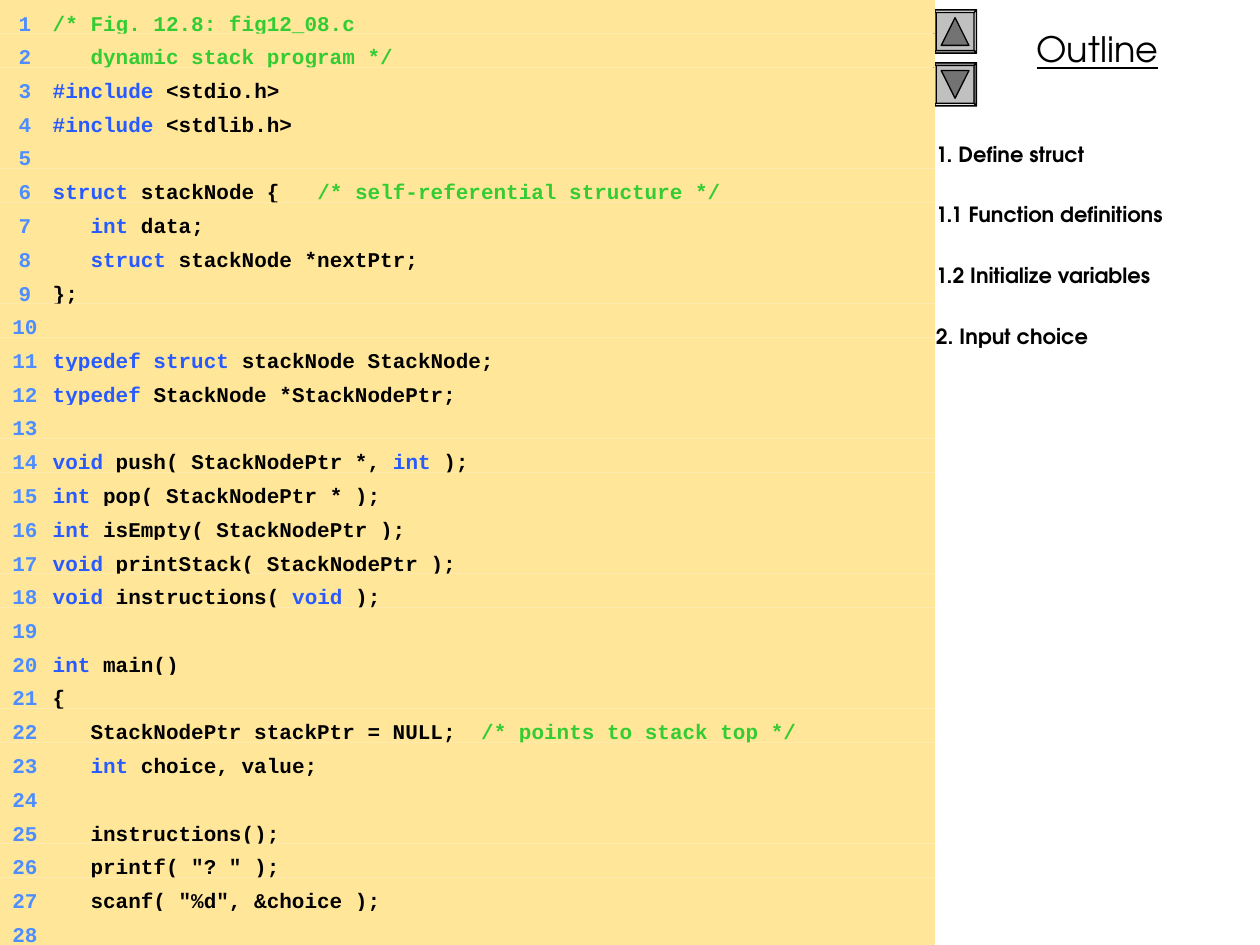
from lxml.etree import SubElement
from pptx import Presentation
from pptx.dml.color import RGBColor
from pptx.enum.shapes import MSO_SHAPE
from pptx.enum.text import MSO_ANCHOR, PP_ALIGN
from pptx.oxml.ns import qn
from pptx.util import Inches, Pt

KEY, TEXT, NOTE, NUM = "275AFF", "000000", "33CC33", "4D8DFF"

CODE = [
    [(NOTE, "/* Fig. 12.8: fig12_08.c")],
    [(NOTE, "   dynamic stack program */")],
    [(KEY, "#include"), (TEXT, " <stdio.h>")],
    [(KEY, "#include"), (TEXT, " <stdlib.h>")],
    [],
    [(KEY, "struct"), (TEXT, " stackNode { "),
     (NOTE, "  /* self-referential structure */")],
    [(KEY, "   int"), (TEXT, " data;")],
    [(KEY, "   struct"), (TEXT, " stackNode *nextPtr;")],
    [(TEXT, "};")],
    [],
    [(KEY, "typedef struct"), (TEXT, " stackNode StackNode;")],
    [(KEY, "typedef"), (TEXT, " StackNode *StackNodePtr;")],
    [],
    [(KEY, "void"), (TEXT, " push( StackNodePtr *, "), (KEY, "int"), (TEXT, " );")],
    [(KEY, "int"), (TEXT, " pop( StackNodePtr * );")],
    [(KEY, "int"), (TEXT, " isEmpty( StackNodePtr );")],
    [(KEY, "void"), (TEXT, " printStack( StackNodePtr );")],
    [(KEY, "void"), (TEXT, " instructions( "), (KEY, "void"), (TEXT, " );")],
    [],
    [(KEY, "int"), (TEXT, " main()")],
    [(TEXT, "{")],
    [(TEXT, "   StackNodePtr stackPtr = NULL; "), (NOTE, " /* points to stack top */")],
    [(KEY, "   int"), (TEXT, " choice, value;")],
    [],
    [(TEXT, "   instructions();")],
    [(TEXT, '   printf( "? " );')],
    [(TEXT, '   scanf( "%d", &choice );')],
    [],
]
TOPICS = ["1. Define struct", "1.1 Function definitions",
          "1.2 Initialize variables", "2. Input choice"]


def color(code):
    return RGBColor.from_string(code)


class Page:
    sans, mono = "TeX Gyre Adventor", "Courier New"

    def __init__(self, slide):
        self.slide = slide
        self.shapes = slide.shapes

    def run(self, para, text, font, size, code, bold=False, under=False):
        run = para.add_run()
        run.text = text
        run.font.name, run.font.size = font, Pt(size)
        run.font.bold, run.font.underline = bold, under
        run.font.color.rgb = color(code)

    def frame(self, shape, top, bottom=0.05):
        frame = shape.text_frame
        frame.word_wrap = True
        frame.vertical_anchor = MSO_ANCHOR.TOP
        frame.margin_left = frame.margin_right = Inches(0.1)
        frame.margin_top, frame.margin_bottom = Inches(top), Inches(bottom)
        return frame

    def box(self, x, y, w, h, top=0.05):
        return self.frame(self.shapes.add_textbox(
            Inches(x), Inches(y), Inches(w), Inches(h)), top)

    def title(self, text):
        para = self.box(7.42, 0.17, 2.58, 0.44).paragraphs[0]
        para.alignment = PP_ALIGN.CENTER
        self.run(para, text, self.sans, 20, TEXT, under=True)

    def topics(self, items):
        frame = self.box(7.33, 0.83, 2.67, 6.67, 0.29)
        for i, item in enumerate(items):
            para = frame.add_paragraph() if i else frame.paragraphs[0]
            para.space_before = Pt(20.4 if i else 0)
            self.run(para, item, self.sans, 12, TEXT, bold=True)

    def row(self, num, y, h, parts):
        bar = self.shapes.add_shape(
            MSO_SHAPE.RECTANGLE, 0, Inches(y), Inches(7.42), Inches(h))
        bar.shadow.inherit = False
        bar.fill.solid()
        bar.fill.fore_color.rgb = color("FFE699")
        bar.line.fill.background()
        para = self.frame(bar, 0.08, 0).paragraphs[0]
        para.alignment = PP_ALIGN.LEFT
        tabs = SubElement(para._p.get_or_add_pPr(), qn("a:tabLst"))
        for pos, side in ((0.15, "r"), (0.32, "l")):
            SubElement(tabs, qn("a:tab"), pos=str(Inches(pos)), algn=side)
        for code, text in [(NUM, f"\t{num}\t")] + parts:
            self.run(para, text, self.mono, 12, code, bold=True)

    def facet(self, points, code):
        first, *rest = [(Inches(x), Inches(y)) for x, y in points]
        path = self.shapes.build_freeform(*first, scale=1.0)
        path.add_line_segments(rest, close=True)
        shape = path.convert_to_shape()
        shape.shadow.inherit = False
        shape.fill.solid()
        shape.fill.fore_color.rgb = color(code)
        shape.line.color.rgb = color(TEXT)
        shape.line.width = Pt(0.75)
        return shape

    def button(self, x, y, way):
        def place(points):
            return [(x + way * a, y + way * b) for a, b in points]

        def square(r):
            return [(r, -r), (r, r), (-r, r), (-r, -r)]

        outer, inner = square(0.17), square(0.15)
        parts = [self.facet(place(outer), "C0C0C0")]
        for i, code in enumerate(["CDCDCD", "9A9A9A", "737373", "E6E6E6"]):
            j = (i + 1) % 4
            edge = [outer[i], outer[j], inner[j], inner[i]]
            parts.append(self.facet(place(edge), code))
        arrow = [(0, -0.11), (0.11, 0.11), (-0.11, 0.11)]
        parts.append(self.facet(place(arrow), "737373"))
        self.shapes.add_group_shape(parts)


def main():
    deck = Presentation()
    deck.slide_width, deck.slide_height = Inches(10), Inches(7.5)
    page = Page(deck.slides.add_slide(deck.slide_layouts[6]))
    page.title("Outline")
    page.button(7.58, 0.25, 1)
    page.button(7.58, 0.67, -1)
    page.topics(TOPICS)
    step = 7.5 / len(CODE)
    for i, parts in enumerate(CODE):
        page.row(i + 1, i * step, step, parts)
    deck.save("out.pptx")


if __name__ == "__main__":
    main()
